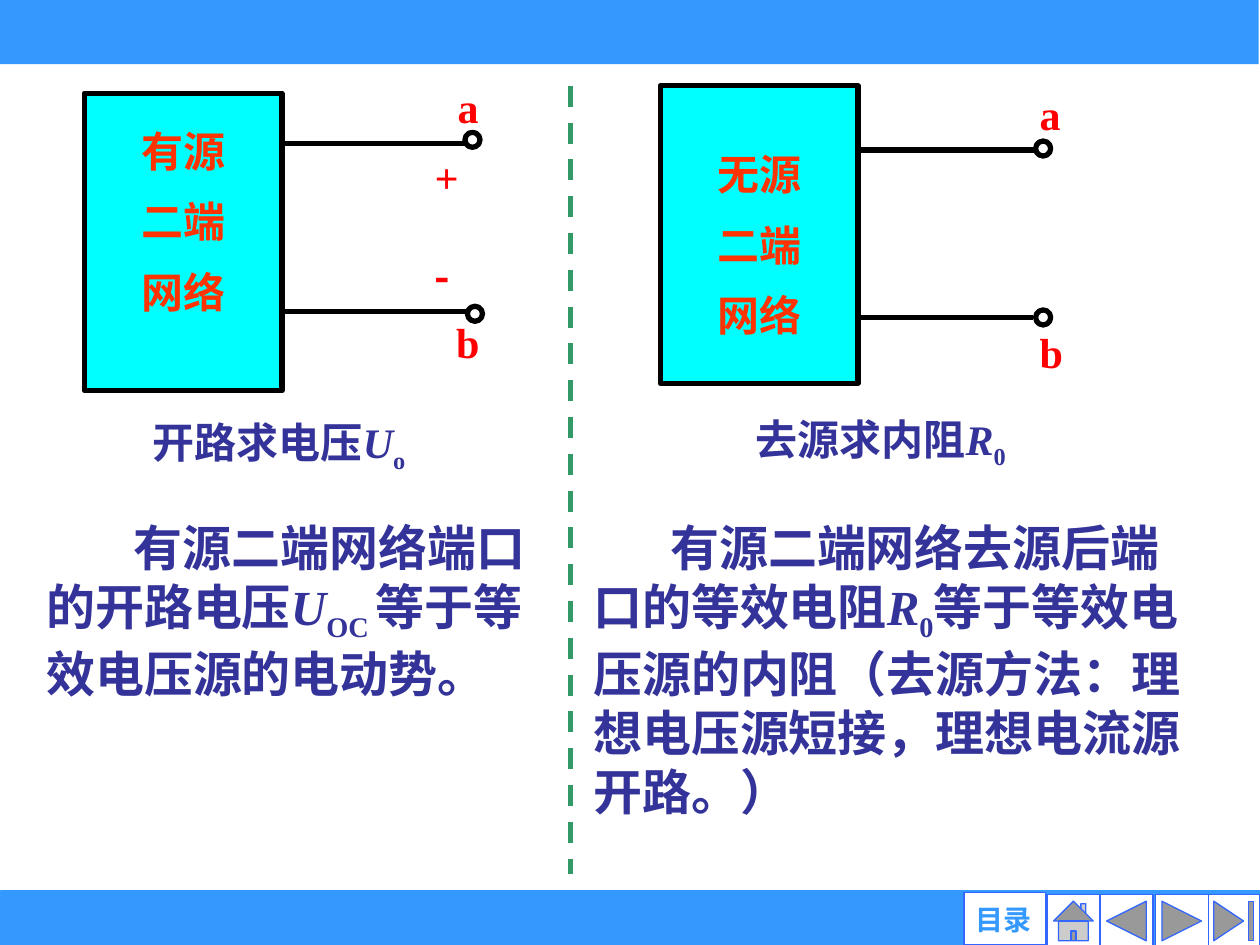
from dataclasses import dataclass
from typing import NamedTuple

from lxml.etree import SubElement
from pptx import Presentation
from pptx.dml.color import RGBColor
from pptx.enum.dml import MSO_LINE as Dash
from pptx.enum.shapes import MSO_CONNECTOR as Link, MSO_SHAPE as Kind
from pptx.enum.text import MSO_ANCHOR as Anchor, PP_ALIGN as Align
from pptx.oxml.ns import qn
from pptx.util import Pt

SERIF = "Times New Roman"
BLUE, EDGE, NAVY = "3399FF", "3366FF", "333399"
RED, ORANGE, CYAN = "FF0000", "FF3300", "00FFFF"
BLACK, WHITE, GREEN = "000000", "FFFFFF", "339966"


class Box(NamedTuple):
    x: float
    y: float
    w: float
    h: float


class Run(NamedTuple):
    text: str
    italic: bool = False
    sub: bool = False


@dataclass
class Port:
    name: str
    wire: Box
    ring: tuple[float, float]
    label: Box


@dataclass
class Circuit:
    body: Box
    words: list[str]
    lift: float
    ports: list[Port]
    title: list[Run]
    title_box: Box


@dataclass
class Note:
    box: Box
    indent: float
    runs: list[Run]


CIRCUITS = [
    Circuit(
        Box(377.3, 49, 113, 170), ["无源", "二端", "网络"], 0,
        [Port("a", Box(491.8, 85.7, 101.5, 0), (591.8, 80.6), Box(586.8, 46.8, 26.6, 36)),
         Port("b", Box(488.9, 181.4, 101.5, 0), (591.8, 177.1), Box(586.8, 182.9, 28, 36))],
        [Run("去源求内阻"), Run("R", True), Run("0", sub=True)],
        Box(413.3, 232.6, 180, 36)),
    Circuit(
        Box(48.2, 53.3, 113, 170), ["有源", "二端", "网络"], 35.5,
        [Port("a", Box(160.6, 82.1, 108, 0), (265.7, 75.6), Box(254.2, 43.2, 26.6, 36)),
         Port("b", Box(160.6, 177.8, 108, 0), (267.1, 175), Box(253.4, 177.1, 28, 36))],
        [Run("开路求电压"), Run("U", True), Run("o", sub=True)],
        Box(69.8, 234.7, 179.3, 36)),
]

NOTES = [
    Note(Box(331.9, 292.3, 353.5, 175.7), 44,
         [Run("有源二端网络去源后端口的等效电阻"), Run("R", True), Run("0", sub=True),
          Run("等于等效电压源的内阻（去源方法：理想电压源短接，理想电流源开路。）")]),
    Note(Box(19.4, 292.3, 295.2, 141.8), 50,
         [Run("有源二端网络端口的开路电压"), Run("U", True), Run("OC ", sub=True),
          Run("等于等效电压源的电动势。")]),
]

BUTTONS = [
    (Kind.ACTION_BUTTON_END, Box(689.8, 511.2, 30.2, 30.2)),
    (Kind.ACTION_BUTTON_FORWARD_OR_NEXT, Box(660.2, 511.2, 30.2, 30.2)),
    (Kind.ACTION_BUTTON_BACK_OR_PREVIOUS, Box(628.6, 511.2, 30.2, 30.2)),
    (Kind.ACTION_BUTTON_HOME, Box(598.3, 511.2, 30.2, 30.2)),
    (Kind.ACTION_BUTTON_CUSTOM, Box(550.8, 509.8, 46.8, 30.2)),
]


def paint(target, color: str) -> None:
    """Give a fill or a line one solid colour."""
    fill = getattr(target, "fill", target)
    fill.solid()
    fill.fore_color.rgb = RGBColor.from_string(color)


def add_shape(slide, kind, box: Box, color: str, edge: str = "", width: float = 3):
    shape = slide.shapes.add_shape(kind, *map(Pt, box))
    shape.shadow.inherit = False
    paint(shape.fill, color)
    if edge:
        paint(shape.line, edge)
        shape.line.width = Pt(width)
    else:
        shape.line.fill.background()
    return shape


def add_line(slide, box: Box, color: str, dash=None) -> None:
    ends = box.x, box.y, box.x + box.w, box.y + box.h
    line = slide.shapes.add_connector(Link.STRAIGHT, *map(Pt, ends))
    SubElement(line._element.spPr, qn("a:effectLst"))
    paint(line.line, color)
    line.line.width = Pt(3)
    if dash:
        line.line.dash_style = dash


def write(par, runs: list[Run], size: float, color: str,
          font: str = SERIF, align=Align.LEFT) -> None:
    par.alignment = align
    par.font.name, par.font.size, par.font.bold = font, Pt(size), True
    par.font.color.rgb = RGBColor.from_string(color)
    for item in runs:
        run = par.add_run()
        run.text = item.text
        if item.italic:
            run.font.italic = True
        if item.sub:
            run._r.get_or_add_rPr().set("baseline", "-25000")


def add_text(slide, box: Box, runs: list[Run], size: float, color: str,
             font: str = SERIF, align=Align.LEFT, anchor=Anchor.TOP, wrap: bool = True):
    frame = slide.shapes.add_textbox(*map(Pt, box)).text_frame
    frame.word_wrap, frame.vertical_anchor = wrap, anchor
    write(frame.paragraphs[0], runs, size, color, font, align)
    return frame


def draw_circuit(slide, item: Circuit) -> None:
    frame = add_shape(slide, Kind.RECTANGLE, item.body, CYAN, BLACK).text_frame
    frame.word_wrap, frame.vertical_anchor = False, Anchor.MIDDLE
    frame.margin_bottom = Pt(3.6 + item.lift)
    for i, word in enumerate(item.words):
        par = frame.add_paragraph() if i else frame.paragraphs[0]
        par.line_spacing = 1.4
        write(par, [Run(word)], 24, ORANGE, align=Align.CENTER)
    for port in item.ports:
        add_line(slide, port.wire, BLACK)
        add_text(slide, port.label, [Run(port.name)], 24, RED,
                 align=Align.CENTER, anchor=Anchor.MIDDLE, wrap=False)
        add_shape(slide, Kind.OVAL, Box(*port.ring, 8.6, 8.6), WHITE, BLACK)
    add_text(slide, item.title_box, item.title, 24, NAVY, align=Align.CENTER)


def draw_note(slide, note: Note) -> None:
    frame = add_text(slide, note.box, note.runs, 28, NAVY)
    props = frame.paragraphs[0]._p.get_or_add_pPr()
    props.set("marL", "0")
    props.set("indent", str(Pt(note.indent)))


def draw_bars(slide) -> None:
    add_shape(slide, Kind.RECTANGLE, Box(0.7, 509.8, 719.3, 30.2), BLUE, BLUE)
    for kind, box in BUTTONS:
        add_shape(slide, kind, box, WHITE, EDGE, 0.75)
    frame = add_text(slide, Box(550.8, 515.5, 45.4, 19.4), [Run("目录")], 16, BLUE,
                     "Arial", Align.CENTER, Anchor.MIDDLE)
    frame.margin_left = frame.margin_right = frame.margin_top = frame.margin_bottom = 0
    add_shape(slide, Kind.RECTANGLE, Box(0, -0.7, 719.3, 37.4), BLUE)


def main() -> None:
    deck = Presentation()
    deck.slide_width, deck.slide_height = Pt(720), Pt(540)
    slide = deck.slides.add_slide(deck.slide_layouts[6])
    draw_bars(slide)
    for note in NOTES:
        draw_note(slide, note)
    add_line(slide, Box(326.2, 49, 0, 450.7), GREEN, Dash.DASH)
    for item in CIRCUITS:
        draw_circuit(slide, item)
    add_text(slide, Box(241.2, 82.8, 28, 36), [Run("+", True)], 24, RED)
    add_text(slide, Box(241.2, 139.7, 26.6, 36), [Run("-")], 24, RED,
             "Noto Sans CJK SC", wrap=False)
    deck.save("out.pptx")


if __name__ == "__main__":
    main()
